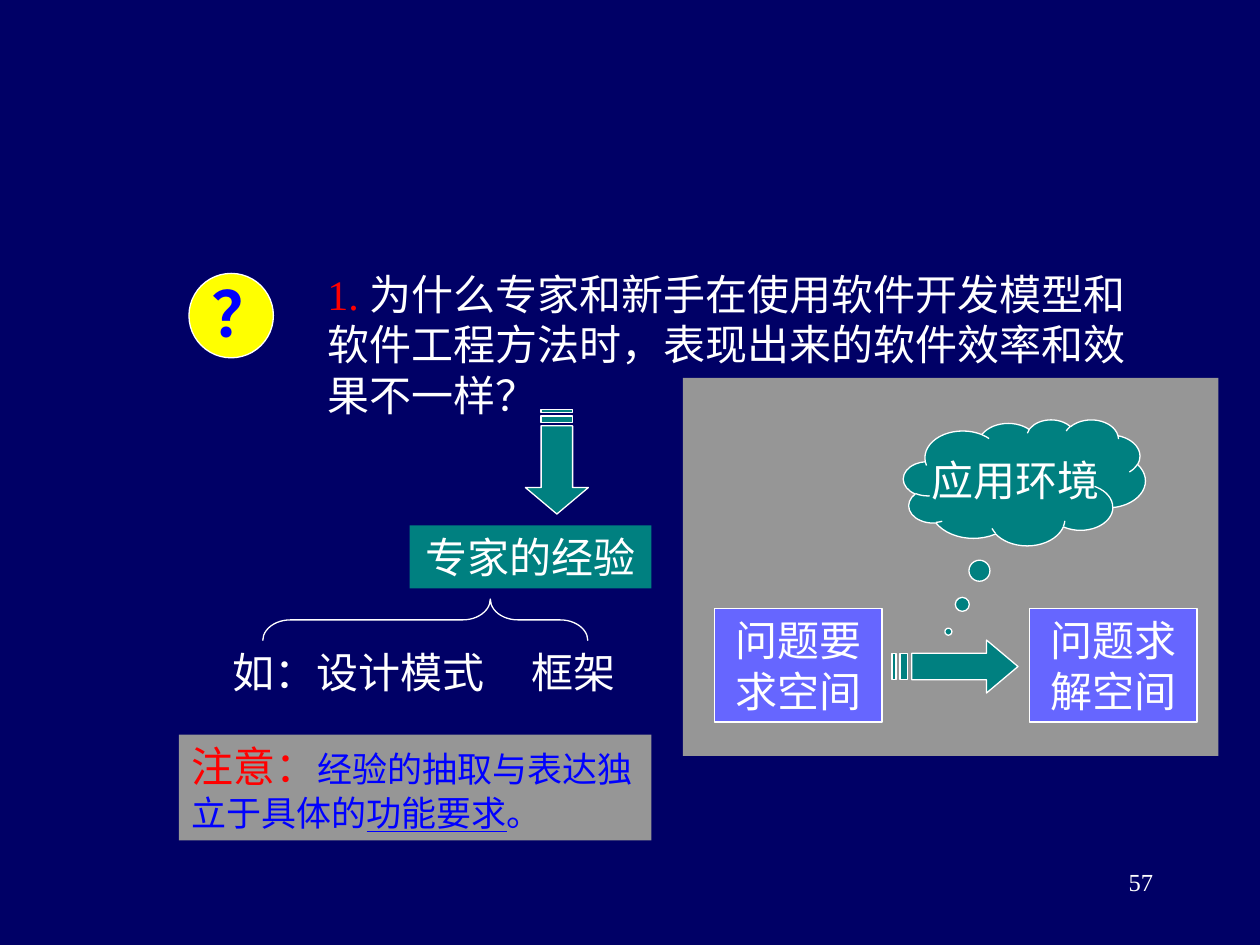
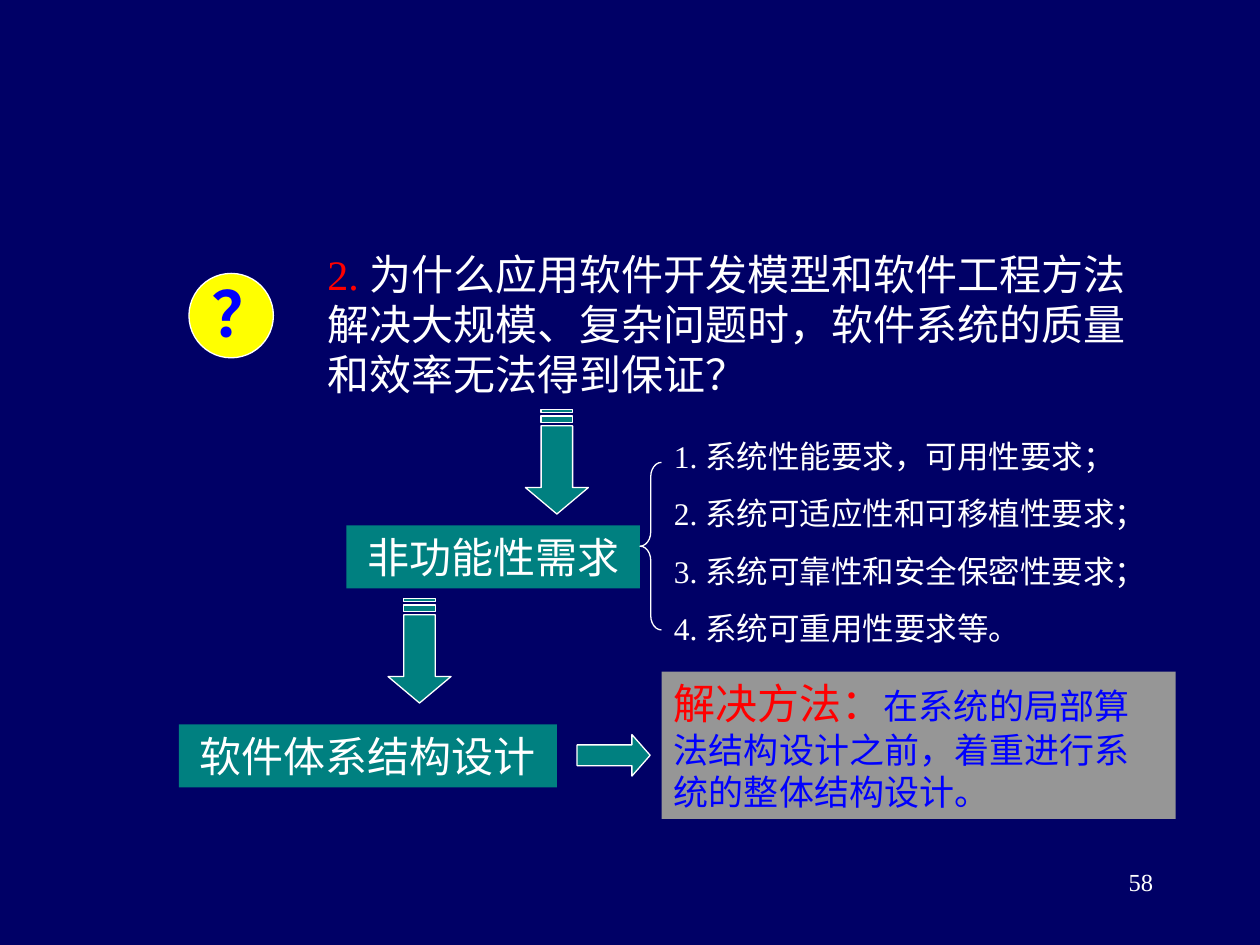
from pptx import Presentation
from pptx.dml.color import RGBColor
from pptx.enum.shapes import MSO_SHAPE as Preset
from pptx.enum.text import MSO_ANCHOR as Anchor, PP_ALIGN as Align
from pptx.util import Inches, Pt
from lxml.etree import SubElement
from pptx.oxml.ns import qn

NAVY, TEAL, GRAY, VIOLET = "000066", "008080", "969696", "6666FF"
WHITE, RED, BLUE, YELLOW = "FFFFFF", "FF0000", "0000FF", "FFFF00"
FONT = "Times New Roman"


def color(value):
    return RGBColor.from_string(value)


def write(shape, *paragraphs, size=24, ink=WHITE, bold=False, align=Align.LEFT,
          before=15, anchor=Anchor.TOP, wrap=True, tab=None):
    """Each paragraph is a string or a list of (text, run format) pairs."""
    frame = shape.text_frame
    frame.word_wrap = wrap
    frame.vertical_anchor = anchor
    for index, content in enumerate(paragraphs):
        paragraph = frame.paragraphs[0] if index == 0 else frame.add_paragraph()
        paragraph.alignment = align
        paragraph.space_before = Pt(before)
        if tab:
            stops = SubElement(paragraph._p.get_or_add_pPr(), qn("a:tabLst"))
            SubElement(stops, qn("a:tab"), pos=str(Inches(tab)), algn="l")
        runs = [(content, {})] if isinstance(content, str) else content
        for text, style in runs:
            run = paragraph.add_run()
            run.text = text
            run.font.name = FONT
            run.font.size = Pt(style.get("size", size))
            run.font.bold = bold
            run.font.underline = style.get("underline", False)
            run.font.color.rgb = color(style.get("ink", ink))
    return shape


def paint(shape, fill=None, line=None):
    shape.shadow.inherit = False
    if fill:
        shape.fill.solid()
        shape.fill.fore_color.rgb = color(fill)
    else:
        shape.fill.background()
    if line:
        shape.line.color.rgb = color(line)
        shape.line.width = Pt(0.75)
    else:
        shape.line.fill.background()
    return shape


def add_preset(slide, preset, box, fill=None, line=None, adjust=()):
    shape = slide.shapes.add_shape(preset, *map(Inches, box))
    for index, value in enumerate(adjust):
        shape.adjustments[index] = value
    return paint(shape, fill, line)


def add_text(slide, box, *paragraphs, **style):
    return write(slide.shapes.add_textbox(*map(Inches, box)), *paragraphs, **style)


def add_label(slide, box, text, fill=TEAL, line=None):
    shape = add_preset(slide, Preset.RECTANGLE, box, fill, line)
    return write(shape, text, align=Align.CENTER)


def add_note(slide, box, heading, *body):
    """Gray panel with a red heading that runs into blue text."""
    runs = [(heading, {"ink": RED})]
    runs += [(text, {"size": 20, "ink": BLUE, "underline": mark}) for text, mark in body]
    write(add_preset(slide, Preset.RECTANGLE, box, GRAY), runs, before=12.5)


def add_striped_arrow(slide, box, head, down=False):
    """Arrow with two stripes at its tail, pointing right or down."""
    left, top, width, height = box
    length, breadth = (height, width) if down else (width, height)
    near, far, neck = breadth / 4, breadth * 3 / 4, length - head

    def bar(start, end):
        return [(start, near), (end, near), (end, far), (start, far)]

    body = [(length * 5 / 32, near), (neck, near), (neck, 0), (length, breadth / 2),
            (neck, breadth), (neck, far), (length * 5 / 32, far)]
    contours = [body, bar(0, length / 32), bar(length / 16, length / 8)]
    builder = None
    for contour in contours:
        points = [(left + (across if down else along), top + (along if down else across))
                  for along, across in contour]
        points = [(Inches(x), Inches(y)) for x, y in points]
        if builder is None:
            builder = slide.shapes.build_freeform(*points[0])
        else:
            builder.move_to(*points[0])
        builder.add_line_segments(points[1:], close=True)
    return paint(builder.convert_to_shape(), TEAL, WHITE)


def add_down_arrow(slide, left, top):
    add_striped_arrow(slide, (left, top, 0.5, 0.83), head=0.21, down=True)


def add_brace(slide, box, tip=0.5, rotation=0):
    shape = add_preset(slide, Preset.LEFT_BRACE, box, line=WHITE, adjust=(0.667, tip))
    shape.rotation = rotation


def add_question(slide, box, number, question):
    """Yellow question badge and the numbered question beside it."""
    left, top, width, height = box
    add_preset(slide, Preset.OVAL, (1.5, 2.17, 0.67, 0.67), YELLOW, WHITE)
    add_text(slide, (1.58, 2.13, 0.83, 0.7), "？", size=36, ink=BLUE, bold=True, before=22.5)
    add_text(slide, (left, top, width, height), [(f"{number}. ", {"ink": RED}), (question, {})])
    add_down_arrow(slide, 4.17, 3.25)


def add_environment(slide, box):
    """Panel that maps the problem space to the solution space."""
    left, top, width, height = box
    add_preset(slide, Preset.RECTANGLE, box, GRAY)
    cloud = add_preset(slide, Preset.CLOUD_CALLOUT, (left + 1.75, top + 0.33, 1.92, 1),
                       TEAL, WHITE, adjust=(-0.314, 1.184))
    write(cloud, "应用环境", align=Align.CENTER, before=0, anchor=Anchor.MIDDLE, wrap=False)
    for index, text in enumerate(("问题要求空间", "问题求解空间")):
        add_label(slide, (left + 0.25 + 2.5 * index, top + 1.83, 1.33, 0.9),
                  text, VIOLET, WHITE)
    add_striped_arrow(slide, (left + 1.66, top + 2.08, 1, 0.42), head=0.25)


def add_slide(presentation, page):
    """Blank slide with the shared background and page number."""
    slide = presentation.slides.add_slide(presentation.slide_layouts[6])
    slide.background.fill.solid()
    slide.background.fill.fore_color.rgb = color(NAVY)
    add_text(slide, (7.17, 6.83, 2.08, 0.5), str(page), size=14, align=Align.RIGHT, before=0)
    return slide


def build_experience_slide(presentation):
    slide = add_slide(presentation, 57)
    add_question(slide, (2.5, 2.08, 6.75, 1.3), 1,
                 "为什么专家和新手在使用软件开发模型和软件工程方法时，"
                 "表现出来的软件效率和效果不一样？")
    add_label(slide, (3.25, 4.17, 1.92, 0.5), "专家的经验")
    add_environment(slide, (5.42, 3, 4.25, 3))
    # Examples under the brace
    add_text(slide, (1.75, 5.08, 3.5, 0.5), "如：设计模式\t框架", tab=2.37)
    add_brace(slide, (3.21, 3.63, 0.33, 2.58), tip=0.3, rotation=90)
    add_note(slide, (1.42, 5.83, 3.75, 0.84), "注意：",
             ("经验的抽取与表达独立于具体的", False), ("功能要求", True), ("。", False))


def build_quality_slide(presentation):
    slide = add_slide(presentation, 58)
    add_question(slide, (2.5, 1.92, 6.75, 1.3), 2,
                 "为什么应用软件开发模型和软件工程方法解决大规模、复杂问题时，"
                 "软件系统的质量和效率无法得到保证？")
    # Non-functional requirements and their list
    add_label(slide, (2.75, 4.17, 2.33, 0.5), "非功能性需求")
    requirements = ("系统性能要求，可用性要求；", "系统可适应性和可移植性要求；",
                    "系统可靠性和安全保密性要求；", "系统可重用性要求等。")
    add_text(slide, (5.25, 3.42, 4.33, 1.77), size=18, before=11.2,
             *(f"{number}. {text}" for number, text in enumerate(requirements, 1)))
    add_brace(slide, (5.08, 3.67, 0.17, 1.33))
    # Architecture design leads to the solution
    add_note(slide, (5.25, 5.33, 4.08, 1.17), "解决方法：",
             ("在系统的局部算法结构设计之前，着重进行系统的整体结构设计。", False))
    add_label(slide, (1.42, 5.75, 3, 0.5), "软件体系结构设计")
    add_down_arrow(slide, 3.08, 4.75)
    add_preset(slide, Preset.RIGHT_ARROW, (4.58, 5.83, 0.58, 0.33), TEAL, WHITE,
               adjust=(0.5, 0.438))


presentation = Presentation()
presentation.slide_width, presentation.slide_height = Inches(10), Inches(7.5)
build_experience_slide(presentation)
build_quality_slide(presentation)
presentation.save("out.pptx")
